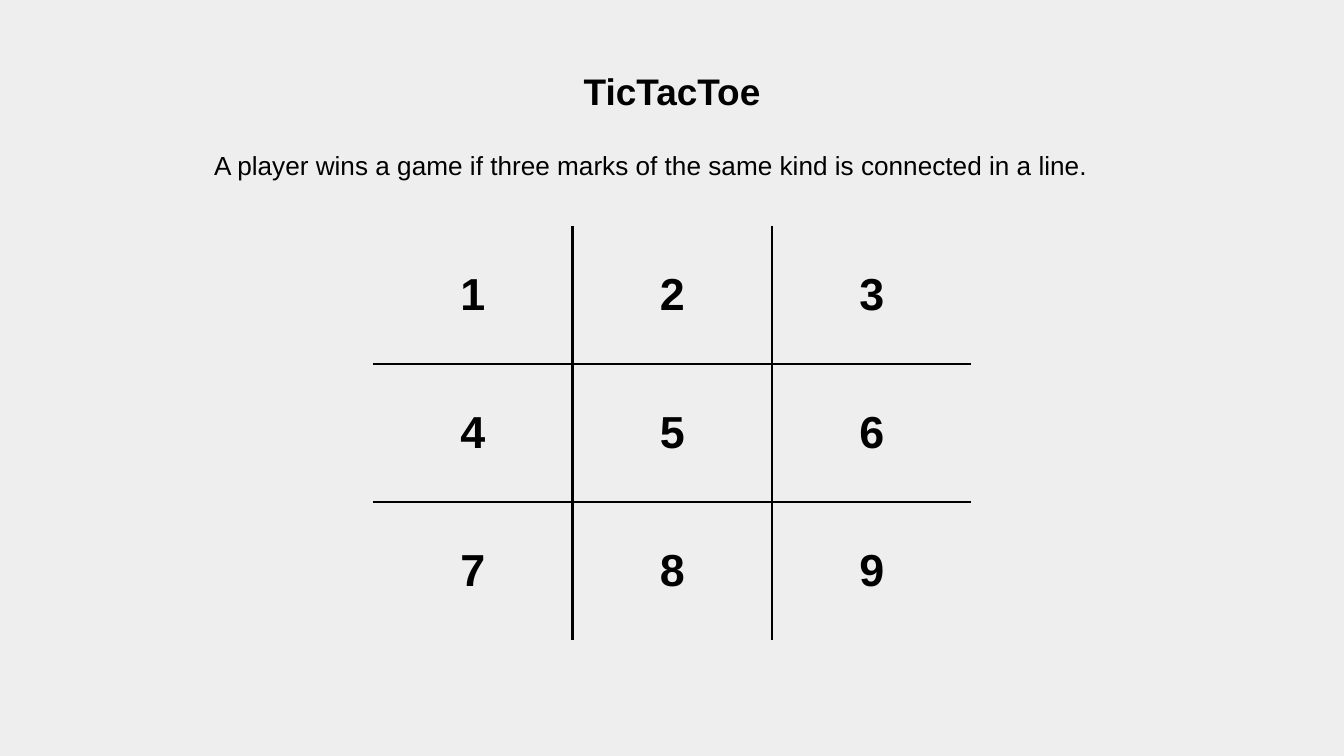
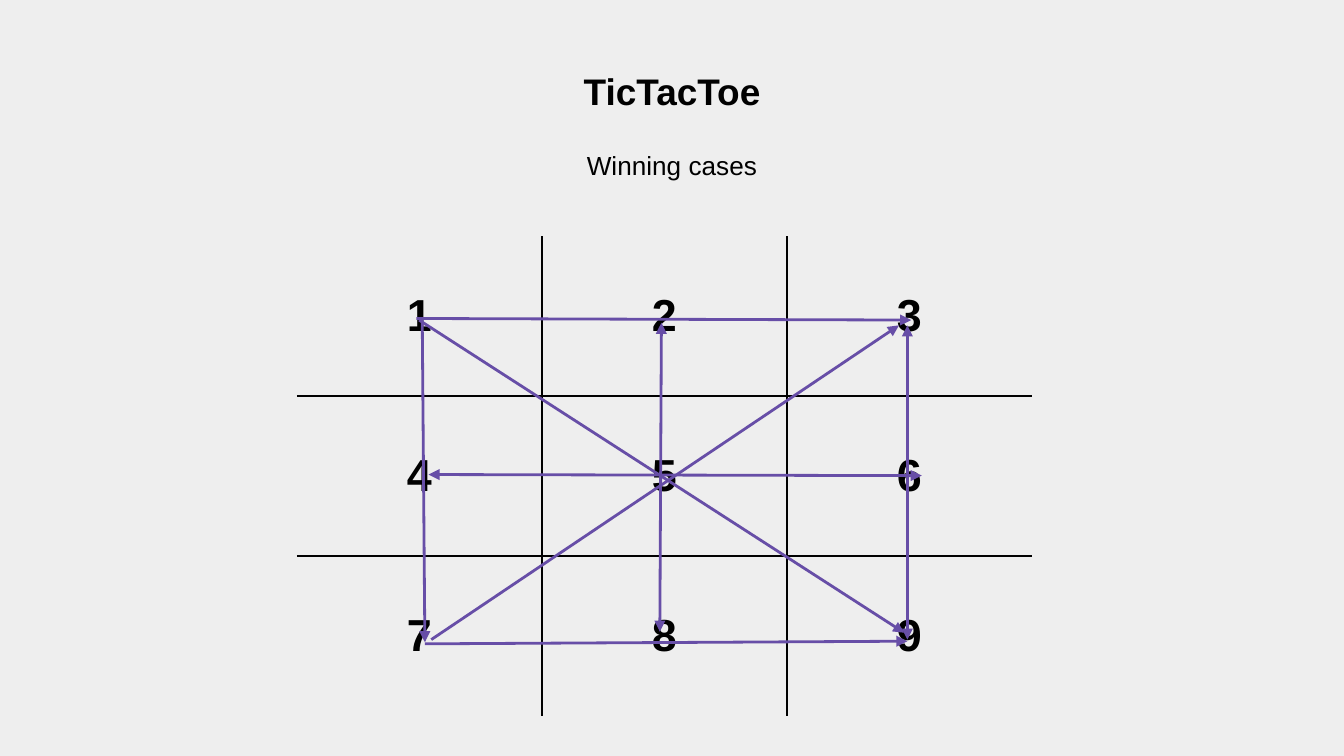
"""Build two slides on the winning lines of TicTacToe."""
import pptx
import pptx.dml.color
import pptx.enum.shapes
import pptx.enum.text
import pptx.oxml
import pptx.oxml.ns
import pptx.util

Cm = pptx.util.Cm
Pt = pptx.util.Pt
HUES = {"back": "EEEEEE", "ink": "000000", "mark": "674EA7"}
WIDTH = 25.4
INSET = 0.25


class Deck:
    """Hold the style and the current slide."""

    def __init__(self):
        self.prs = pptx.Presentation()
        self.prs.slide_width = Cm(WIDTH)
        self.prs.slide_height = Cm(14.29)
        self.slide = None

    def hue(self, name):
        return pptx.dml.color.RGBColor.from_string(HUES[name])

    def node(self, tag, inner="", attrs=""):
        space = pptx.oxml.ns.nsdecls("a")
        return pptx.oxml.parse_xml(f"<a:{tag} {space} {attrs}>{inner}</a:{tag}>")

    def label(self, para, text, size, bold=False):
        para.alignment = pptx.enum.text.PP_ALIGN.CENTER
        run = para.add_run()
        run.text = text
        run.font.name = "Arial"
        run.font.size = Pt(size)
        run.font.bold = bold
        run.font.color.rgb = self.hue("ink")

    def pad(self, item):
        item.margin_left = item.margin_right = Cm(INSET)
        item.margin_top = item.margin_bottom = Cm(INSET)

    def start(self, title):
        self.slide = self.prs.slides.add_slide(self.prs.slide_layouts[5])
        fill = self.slide.background.fill
        fill.solid()
        fill.fore_color.rgb = self.hue("back")
        box = self.slide.shapes.title
        box.left, box.top = Cm(0), Cm(0.86)
        box.width, box.height = Cm(WIDTH), Cm(1.6)
        frame = box.text_frame
        self.pad(frame)
        frame.word_wrap = True
        frame.auto_size = pptx.enum.text.MSO_AUTO_SIZE.NONE
        frame.vertical_anchor = pptx.enum.text.MSO_ANCHOR.MIDDLE
        para = frame.paragraphs[0]
        para.line_spacing = 1.15
        para.space_before = Pt(12)
        self.label(para, title, 19.8, True)

    def note(self, text, left, width):
        box = self.slide.shapes.add_textbox(Cm(left), Cm(2.57), Cm(width), Cm(1.12))
        frame = box.text_frame
        self.pad(frame)
        frame.word_wrap = True
        frame.auto_size = pptx.enum.text.MSO_AUTO_SIZE.SHAPE_TO_FIT_TEXT
        self.label(frame.paragraphs[0], text, 14)

    def edge(self, props, row, col):
        ink = f'<a:solidFill><a:srgbClr val="{HUES["ink"]}"/></a:solidFill>'
        sides = {"L": col > 0, "R": col < 2, "T": row > 0, "B": row < 2}
        for place, (side, drawn) in enumerate(sides.items()):
            fill = ink if drawn else "<a:noFill/>"
            props.insert(place, self.node("ln" + side, fill, f'w="{Pt(1.5)}"'))

    def board(self, left, top, wide, high):
        frame = self.slide.shapes.add_table(
            3, 3, Cm(left), Cm(top), Cm(3 * wide), Cm(3 * high))
        table = frame.table
        table.first_row = table.horz_banding = False
        for col in table.columns:
            col.width = Cm(wide)
        for row in table.rows:
            row.height = Cm(high)
        for spot, cell in enumerate(table.iter_cells(), 1):
            cell.fill.background()
            self.pad(cell)
            cell.vertical_anchor = pptx.enum.text.MSO_ANCHOR.MIDDLE
            self.label(cell.text_frame.paragraphs[0], str(spot), 24, True)
        cells = list(frame.element.iter(pptx.oxml.ns.qn("a:tcPr")))
        for spot, props in enumerate(cells):
            self.edge(props, *divmod(spot, 3))

    def arrow(self, start, end, both=False):
        link = self.slide.shapes.add_connector(
            pptx.enum.shapes.MSO_CONNECTOR.STRAIGHT, *map(Cm, start + end))
        link.line.width = Pt(1.5)
        link.line.color.rgb = self.hue("mark")
        props = link.element.spPr
        line = props.find(pptx.oxml.ns.qn("a:ln"))
        for tag in ("headEnd", "tailEnd") if both else ("tailEnd",):
            line.append(self.node(tag, attrs='type="triangle"'))
        props.append(self.node("effectLst"))


def main():
    deck = Deck()
    deck.start("TicTacToe")
    deck.board(7.05, 4.27, 3.77, 2.61)
    deck.note("A player wins a game if three marks of the same kind "
              "is connected in a line.", 2.54, 19.53)

    deck.start("TicTacToe")
    deck.board(5.61, 4.47, 4.63, 3.02)
    deck.note("Winning cases", 0, WIDTH)
    wins = [
        ((7.92, 6.05), (17.09, 11.96), False),
        ((7.98, 6.05), (8.03, 12.14), False),
        ((7.87, 6.02), (17.22, 6.05), False),
        ((12.5, 6.1), (12.47, 11.94), True),
        ((8.03, 12.17), (17.15, 12.12), False),
        ((8.15, 12.09), (16.99, 6.15), False),
        ((8.1, 8.97), (17.42, 8.99), True),
        ((17.15, 6.15), (17.15, 12.09), True),
    ]
    for start, end, both in wins:
        deck.arrow(start, end, both)
    deck.prs.save("out.pptx")


if __name__ == "__main__":
    main()
